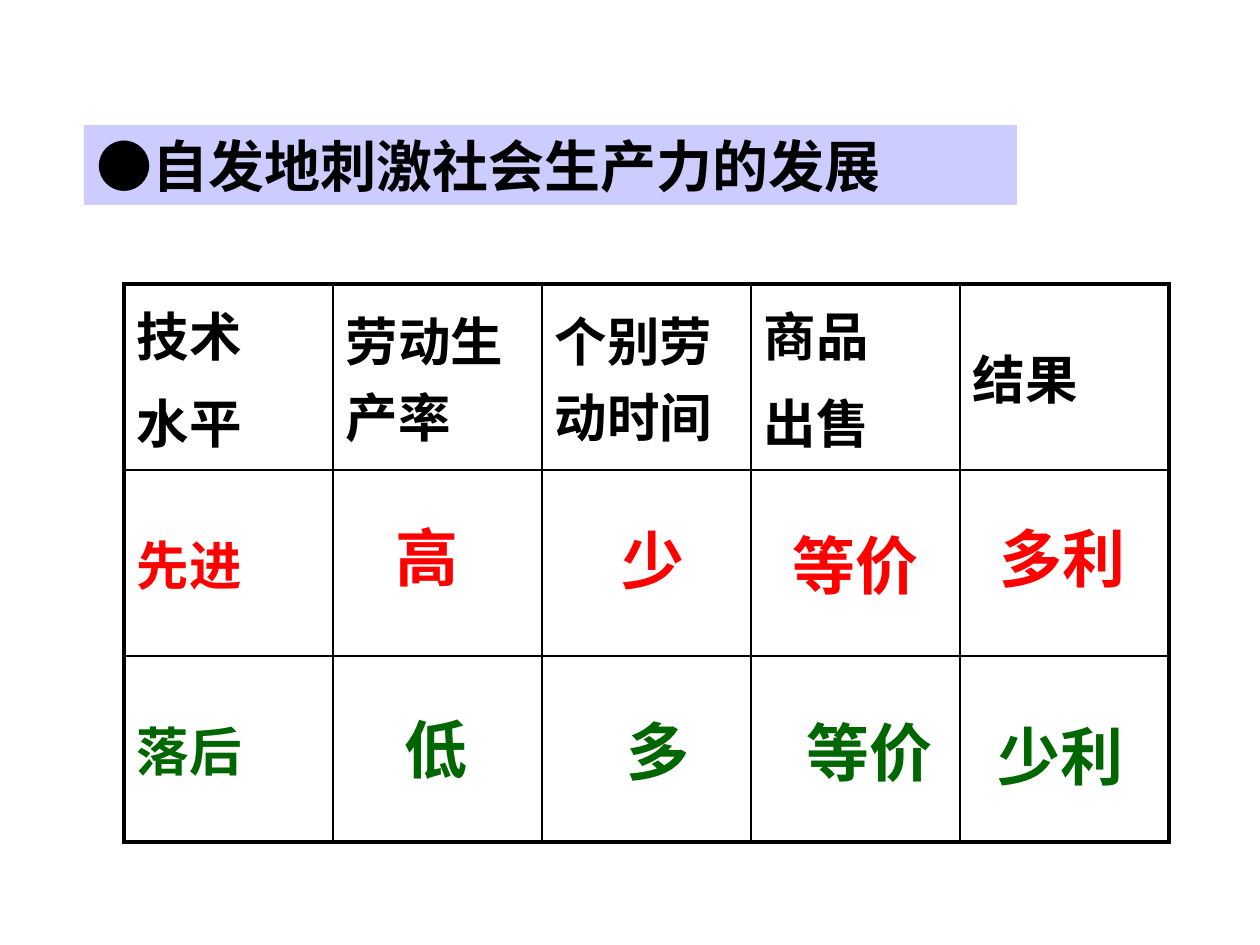
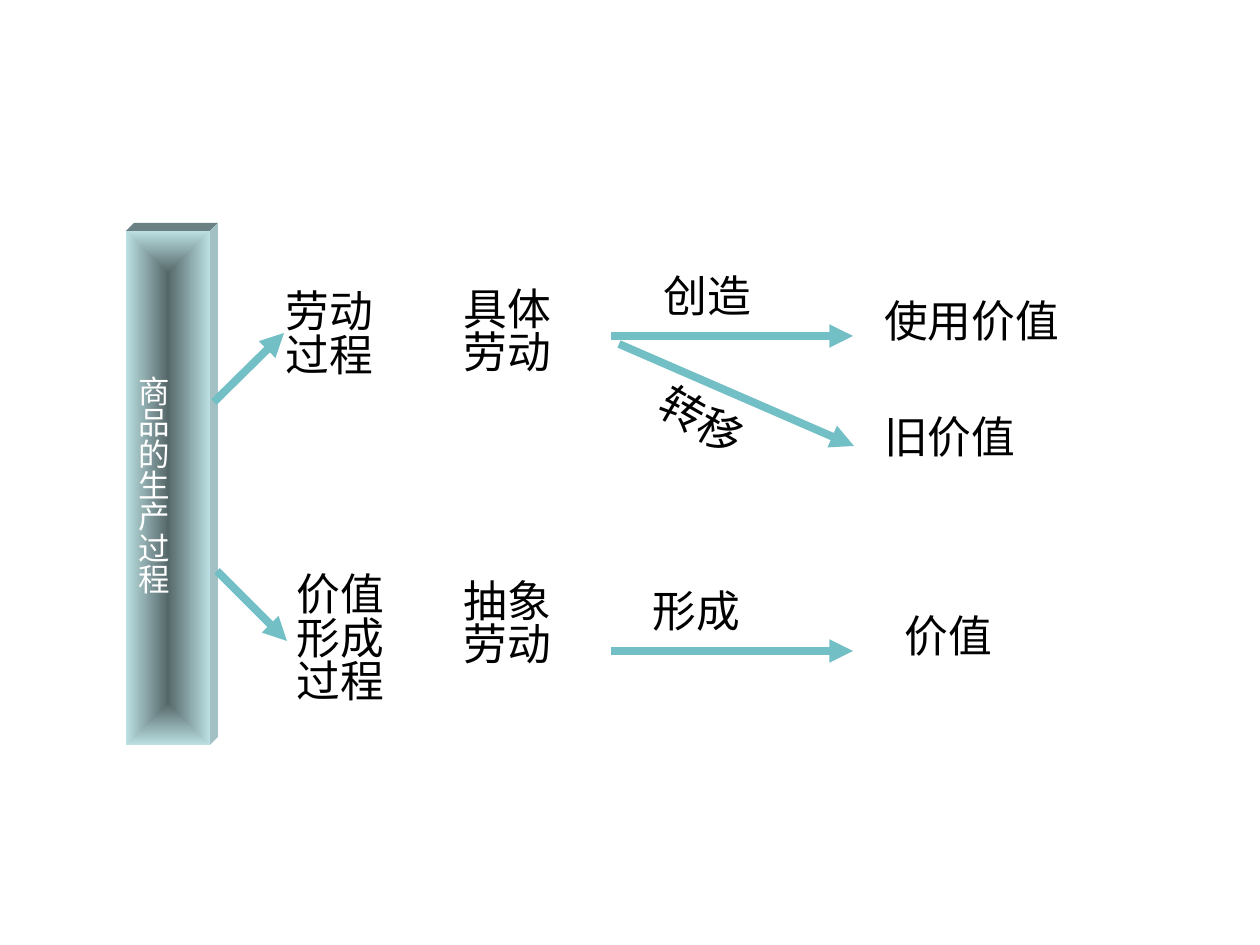
from lxml import etree
from pptx import Presentation
from pptx.dml.color import RGBColor
from pptx.enum.shapes import MSO_CONNECTOR, MSO_SHAPE
from pptx.enum.text import MSO_ANCHOR
from pptx.oxml.ns import qn
from pptx.util import Pt

# Shared scale, colours and fonts
SCALE = 914400 / 126
BLACK = RGBColor(0x00, 0x00, 0x00)
WHITE = RGBColor(0xFF, 0xFF, 0xFF)
RED = RGBColor(0xFF, 0x00, 0x00)
GREEN = RGBColor(0x00, 0x66, 0x00)
LILAC = RGBColor(0xCC, 0xCC, 0xFF)
TEAL = RGBColor(0x72, 0xBF, 0xC5)
PALE = RGBColor(0xBB, 0xE0, 0xE3)
DARK = RGBColor(0x56, 0x67, 0x69)
TOP = RGBColor(0x6B, 0x80, 0x82)
SIDE = RGBColor(0xA3, 0xC0, 0xC4)
LATIN = "Arial"
CJK = "Noto Sans CJK SC"


def px(num):
    return int(num * SCALE)


def add_run(para, text, size, color, bold=False, face=LATIN):
    run = para.add_run()
    run.text = text
    font = run.font
    font.name, font.size, font.bold = face, Pt(size), bold
    font.color.rgb = color
    etree.SubElement(font._element, qn("a:ea"), typeface=CJK)


def add_text(slide, text, x, y, w, h, size, color=BLACK, bold=False,
             face=CJK, wrap=True, tight=False):
    box = slide.shapes.add_textbox(px(x), px(y), px(w), px(h))
    fill_frame(box.text_frame, text, size, color, bold, face, wrap, tight)
    return box


def fill_frame(frame, text, size, color, bold, face, wrap=True, tight=False):
    frame.word_wrap = wrap
    frame.vertical_anchor = MSO_ANCHOR.MIDDLE
    para = frame.paragraphs[0]
    para.alignment = 1
    if tight:
        para.line_spacing = 0.83
    add_run(para, text, size, color, bold, face)


def add_rect(slide, x, y, w, h):
    rect = slide.shapes.add_shape(MSO_SHAPE.RECTANGLE,
                                  px(x), px(y), px(w), px(h))
    rect.shadow.inherit = False
    rect.line.fill.background()
    return rect


def add_face(slide, points, color):
    start, *rest = [(px(x), px(y)) for x, y in points]
    path = slide.shapes.build_freeform(*start)
    path.add_line_segments(rest, close=True)
    face = path.convert_to_shape()
    face.shadow.inherit = False
    face.fill.solid()
    face.fill.fore_color.rgb = color
    face.line.fill.background()


def add_arrow(slide, x1, y1, x2, y2):
    arrow = slide.shapes.add_connector(MSO_CONNECTOR.STRAIGHT,
                                       px(x1), px(y1), px(x2), px(y2))
    arrow.line.color.rgb = TEAL
    arrow.line.width = Pt(4.5)
    etree.SubElement(arrow.line._get_or_add_ln(), qn("a:tailEnd"),
                     type="triangle")
    etree.SubElement(arrow._element.spPr, qn("a:effectLst"))


def set_edges(cell, widths):
    props = cell._tc.get_or_add_tcPr()
    for i, (side, width) in enumerate(zip("LRTB", widths)):
        line = etree.Element(qn("a:ln" + side), w=str(Pt(width)))
        fill = etree.SubElement(line, qn("a:solidFill"))
        etree.SubElement(fill, qn("a:srgbClr"), val=str(BLACK))
        props.insert(i, line)


def add_grid(slide, rows, x, y, w, h):
    count, cols = len(rows), len(rows[0])
    table = slide.shapes.add_table(count, cols, px(x), px(y),
                                   px(w * cols), px(h * count)).table
    table.first_row = table.horz_banding = False
    for r, row in enumerate(rows):
        table.rows[r].height = px(h)
        for c, text in enumerate(row):
            table.columns[c].width = px(w)
            cell = table.cell(r, c)
            cell.fill.background()
            cell.vertical_anchor = MSO_ANCHOR.MIDDLE
            outer = (c == 0, c == cols - 1, r == 0, r == count - 1)
            set_edges(cell, [2.25 if edge else 1 for edge in outer])
            for i, part in enumerate(text.split("\n") if text else []):
                frame = cell.text_frame
                para = frame.add_paragraph() if i else frame.paragraphs[0]
                if i:
                    para.space_before = Pt(6)
                add_run(para, part, 30, (BLACK, RED, GREEN)[r], True)


def add_bar(slide, text, x, y, w, h, depth):
    # Top and right faces give the bar its depth
    right, back = x + w, x + w + depth
    add_face(slide, [(x, y), (x + depth, y - depth), (back, y - depth),
                     (right, y)], TOP)
    add_face(slide, [(right, y), (back, y - depth),
                     (back, y + h - depth), (right, y + h)], SIDE)
    bar = add_rect(slide, x, y, w, h)
    bar.fill.gradient()
    for stop, color in zip(bar.fill.gradient_stops, (DARK, PALE)):
        stop.color.rgb = color
    # Replace the linear direction by a rectangular path
    grad = bar._element.spPr.find(qn("a:gradFill"))
    grad.remove(grad.find(qn("a:lin")))
    path = etree.SubElement(grad, qn("a:path"))
    path.set("path", "rect")
    etree.SubElement(path, qn("a:fillToRect"),
                     l="50000", t="50000", r="50000", b="50000")
    for stop, pos in zip(bar.fill.gradient_stops, (0, 1)):
        stop.position = pos
    fill_frame(bar.text_frame, text, 18, WHITE, False, LATIN, tight=True)


def draw_table(slide):
    add_grid(slide, [
        ["技术\n水平", "劳动生产率", "个别劳动时间", "商品\n出售", "结果"],
        ["先进", "", "", "", ""],
        ["落后", "", "", "", ""],
    ], 124, 284, 209, 186)

    # Answers laid over the empty cells
    for text, x, y, color, face in [
        ("高", 383, 512, RED, LATIN), ("低", 392, 704, GREEN, LATIN),
        ("少", 609, 515, RED, LATIN), ("多", 614, 706, GREEN, LATIN),
        ("等价", 780, 520, RED, LATIN), ("等价", 794, 707, GREEN, LATIN),
        ("多利", 987, 513, RED, CJK), ("少利", 985, 711, GREEN, CJK),
    ]:
        add_text(slide, text, x, y, 25 + 63 * len(text), 88, 36, color,
                 True, face, wrap=False)

    # Title band
    band = add_rect(slide, 84, 125, 933, 80)
    band.fill.solid()
    band.fill.fore_color.rgb = LILAC
    fill_frame(band.text_frame, "●自发地刺激社会生产力的发展", 32, BLACK,
               True, LATIN)


def draw_flow(slide):
    add_bar(slide, "商品的生产过程", 126, 231, 84, 514, 8)

    # Stages, wrapped two characters to a line
    for text, x, y, w, h in [
        ("劳动过程", 273, 284, 147, 105), ("价值形成过程", 284, 557, 130, 168),
        ("具体劳动", 451, 275, 147, 118), ("抽象劳动", 451, 567, 147, 118),
    ]:
        add_text(slide, text, x, y, w, h, 25, tight=True)

    # Arrow labels and outcomes
    for text, x, y, w, turn in [
        ("创造", 651, 262, 178, 0), ("转移", 643, 398, 158, 30),
        ("形成", 640, 577, 165, 0), ("使用价值", 872, 287, 305, 0),
        ("旧价值", 872, 403, 305, 0), ("价值", 892, 602, 199, 0),
    ]:
        add_text(slide, text, x, y, w, 66, 25).rotation = turn

    for ends in [(611, 336, 853, 336), (619, 344, 854, 446),
                 (611, 651, 853, 651), (217, 571, 287, 641),
                 (214, 402, 284, 333)]:
        add_arrow(slide, *ends)


def main():
    deck = Presentation()
    deck.slide_width, deck.slide_height = px(1260), px(945)
    for draw in (draw_table, draw_flow):
        draw(deck.slides.add_slide(deck.slide_layouts[6]))
    deck.save("out.pptx")


if __name__ == "__main__":
    main()
